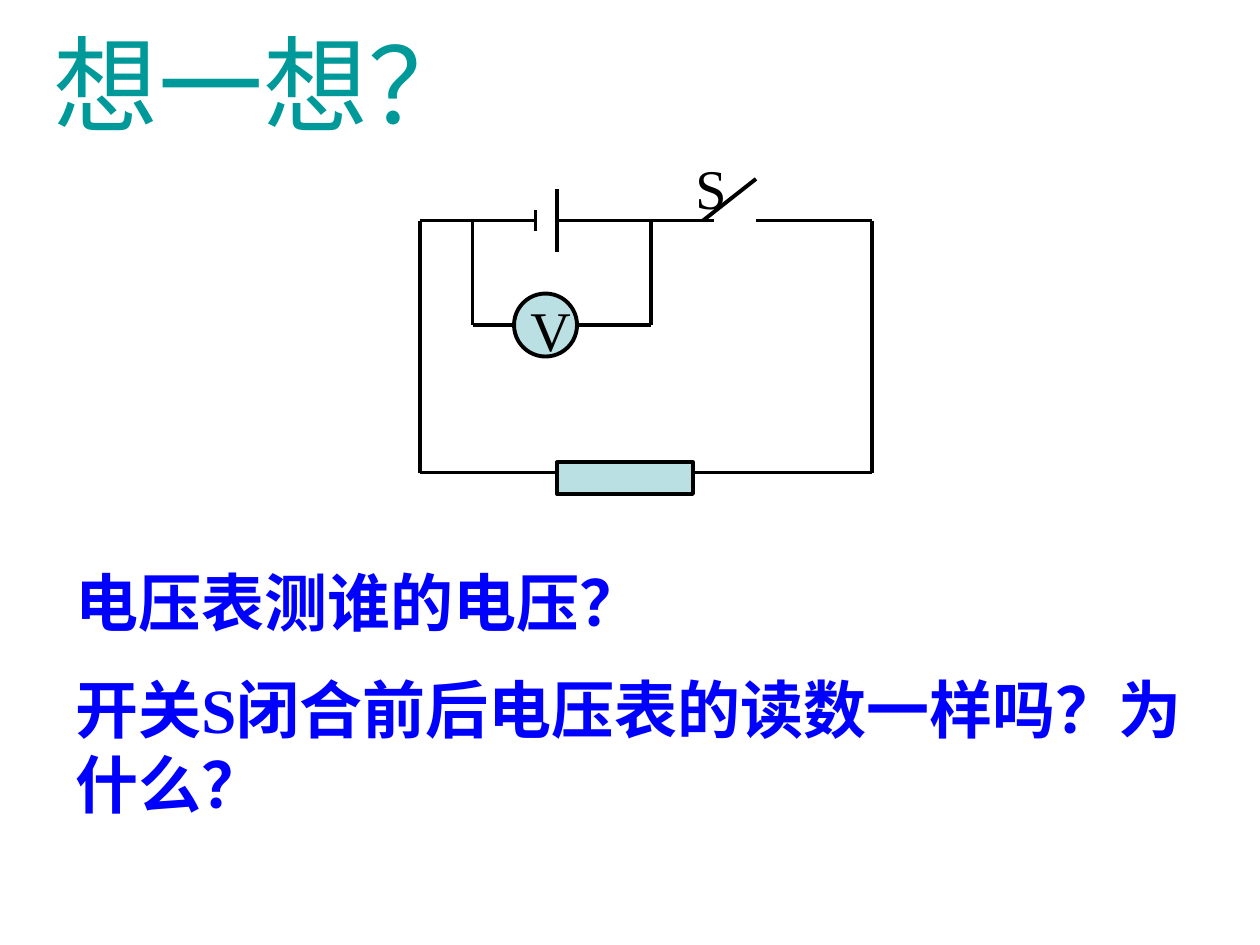
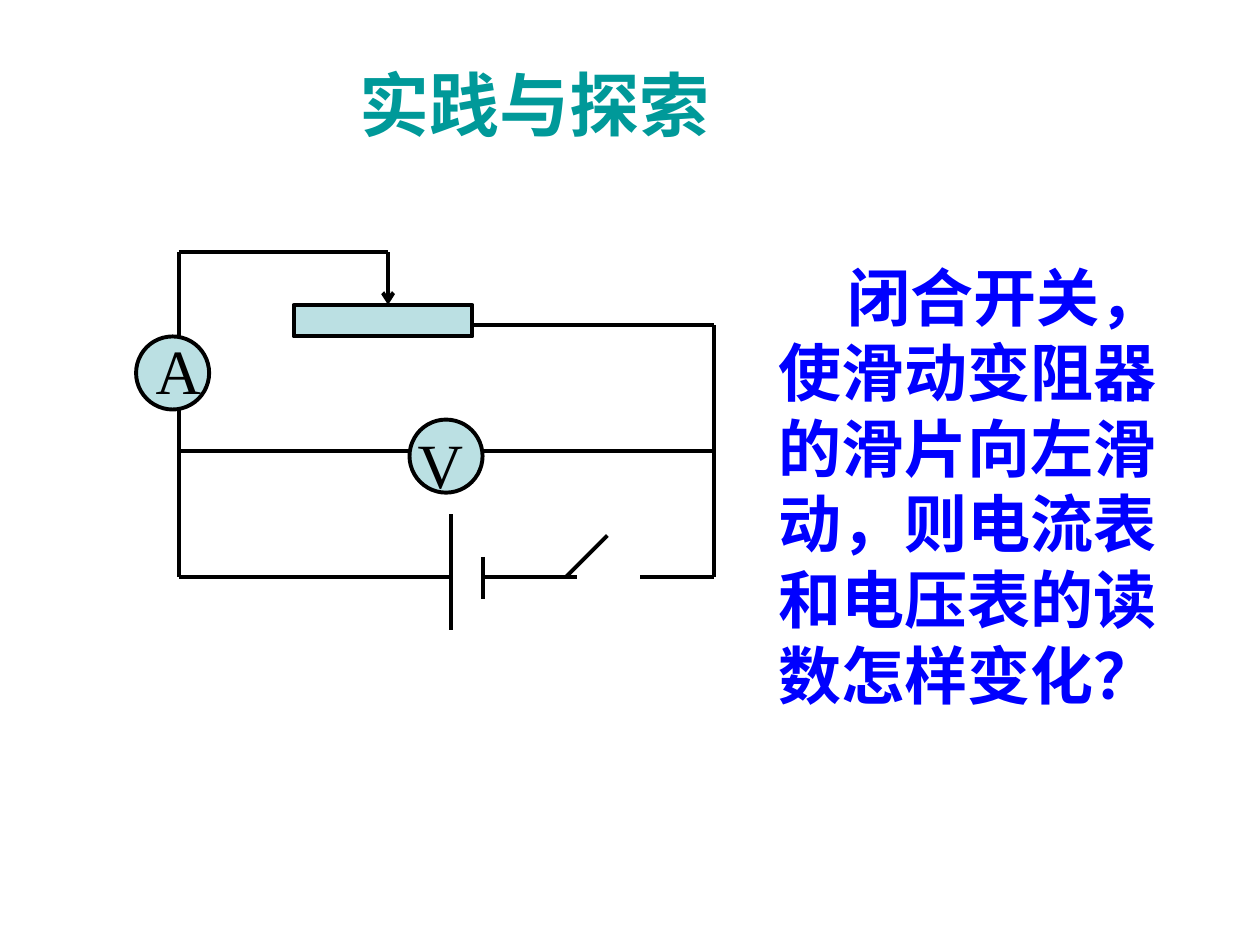
import pptx
import pptx.util
import pptx.dml.color
import pptx.enum.shapes
import pptx.enum.text
import pptx.oxml.ns
from lxml import etree

Inches, Pt = pptx.util.Inches, pptx.util.Pt
SHAPE = pptx.enum.shapes.MSO_SHAPE
ALIGN = pptx.enum.text.PP_ALIGN
ANCHOR = pptx.enum.text.MSO_ANCHOR

TEAL, BLUE, BLACK, PALE = "009999", "0000FF", "000000", "BBE0E3"
TITLE = {"name": "Arial", "size": Pt(40), "bold": True}
QUESTION = {"name": "Times New Roman", "size": Pt(36), "bold": True}
LABEL = {"name": "Times New Roman", "size": Pt(36), "bold": False}
LINE_WIDTH = Pt(2.25)


def colour(value):
    return pptx.dml.color.RGBColor.from_string(value)


def add_text(page, box, lines, font, ink, align=ALIGN.LEFT,
             anchor=ANCHOR.TOP, gap=0, indent=0):
    """Write one paragraph per line; gap is the space between paragraphs."""
    frame = page.shapes.add_textbox(*map(Inches, box)).text_frame
    frame.word_wrap = True
    frame.vertical_anchor = anchor
    for number, line in enumerate(lines):
        para = frame.add_paragraph() if number else frame.paragraphs[0]
        para.alignment = align
        if number:
            para.space_before = Pt(gap)
        if indent:
            para._p.get_or_add_pPr().set("indent", str(Inches(indent)))
        span = para.add_run()
        span.text = line
        for name, value in font.items():
            setattr(span.font, name, value)
        span.font.color.rgb = colour(ink)


def add_wire(page, origin, ends, arrow=False):
    left, top = origin
    x1, y1, x2, y2 = ends
    wire = page.shapes.add_connector(
        pptx.enum.shapes.MSO_CONNECTOR.STRAIGHT,
        Inches(left + x1), Inches(top + y1), Inches(left + x2), Inches(top + y2))
    wire.line.color.rgb = colour(BLACK)
    wire.line.width = LINE_WIDTH
    if arrow:
        tail = etree.SubElement(wire.line._get_or_add_ln(), pptx.oxml.ns.qn("a:tailEnd"))
        tail.set("type", "arrow")
    etree.SubElement(wire._element.spPr, pptx.oxml.ns.qn("a:effectLst"))


def add_part(page, origin, kind, box):
    """Add a meter or resistor, placed relative to the circuit's corner."""
    left, top, width, height = box
    part = page.shapes.add_shape(kind, *map(
        Inches, (origin[0] + left, origin[1] + top, width, height)))
    part.shadow.inherit = False
    part.fill.solid()
    part.fill.fore_color.rgb = colour(PALE)
    part.line.color.rgb = colour(BLACK)
    part.line.width = LINE_WIDTH


def add_label(page, origin, box, letter, size, align=ALIGN.CENTER):
    left, top, width, height = box
    add_text(page, (origin[0] + left, origin[1] + top, width, height),
             [letter], {**LABEL, "size": Pt(size)}, BLACK, align)


def voltmeter_circuit(page, origin):
    """Draw a cell with a voltmeter across it, a switch and a resistor."""
    right, bottom = 3.59, 2
    tap_left, tap_right, tap_bottom = 0.42, 1.84, 0.83
    cell_short, cell_long = 0.92, 1.09
    wires = [
        (0, 0, 0, bottom),
        (right, 0, right, bottom),
        (0, 0, cell_short, 0),
        (cell_short, -0.08, cell_short, 0.08),
        (cell_long, -0.25, cell_long, 0.25),
        (cell_long, 0, 2.34, 0),
        (2.25, 0, 2.67, -0.33),
        (2.67, 0, right, 0),
        (tap_left, 0, tap_left, tap_bottom),
        (tap_right, 0, tap_right, tap_bottom),
        (tap_left, tap_bottom, 0.75, tap_bottom),
        (1.25, tap_bottom, tap_right, tap_bottom),
        (0, bottom, 1.09, bottom),
        (2.17, bottom, right, bottom),
    ]
    for ends in wires:
        add_wire(page, origin, ends)
    add_part(page, origin, SHAPE.OVAL, (0.75, 0.58, 0.5, 0.5))
    add_part(page, origin, SHAPE.RECTANGLE, (1.09, 1.92, 1.08, 0.25))
    add_label(page, origin, (0.5, 0.55, 1.08, 0.64), "V", 32)
    add_label(page, origin, (2.09, -0.58, 0.67, 0.63), "S", 32, ALIGN.LEFT)


def rheostat_circuit(page, origin):
    """Draw an ammeter, a rheostat, a voltmeter, a cell and a switch."""
    right, bottom, middle = 4.25, 2.58, 1.58
    slider, rheostat_wire = 1.66, 0.58
    cell_long, cell_short = 2.16, 2.41
    wires = [
        (0, 0, 0, 0.67),
        (0, 0, slider, 0),
        (2.33, rheostat_wire, right, rheostat_wire),
        (right, rheostat_wire, right, bottom),
        (0, 1.25, 0, bottom),
        (0, middle, 1.83, middle),
        (2.41, middle, right, middle),
        (0, bottom, cell_long, bottom),
        (cell_long, 2.08, cell_long, 3),
        (cell_short, 2.42, cell_short, 2.75),
        (cell_short, bottom, 3.16, bottom),
        (3.07, bottom, 3.4, 2.25),
        (3.66, bottom, right, bottom),
    ]
    for ends in wires:
        add_wire(page, origin, ends)
    add_wire(page, origin, (slider, 0, slider, 0.42), arrow=True)
    add_part(page, origin, SHAPE.RECTANGLE, (0.91, 0.42, 1.42, 0.25))
    for left, top in ((-0.34, 0.67), (1.83, 1.33)):
        add_part(page, origin, SHAPE.OVAL, (left, top, 0.58, 0.58))
    add_label(page, origin, (-0.42, 0.58, 0.83, 0.7), "A", 36)
    add_label(page, origin, (1.66, 1.33, 0.83, 0.7), "V", 36)


def thinking_slide(page):
    add_text(page, (0.33, 0.25, 5.86, 0.81), ["想一想？"],
             {**TITLE, "size": Pt(60), "bold": False}, TEAL, anchor=ANCHOR.MIDDLE)
    voltmeter_circuit(page, (3.33, 1.75))
    add_text(page, (0.5, 4.42, 9.13, 2.2),
             ["电压表测谁的电压？", "开关S闭合前后电压表的读数一样吗？为什么？"],
             QUESTION, BLUE, gap=18)


def practice_slide(page):
    add_text(page, (1.16, 0.3, 6.17, 1.05), ["实践与探索"], TITLE, TEAL,
             ALIGN.CENTER, ANCHOR.MIDDLE)
    add_text(page, (6.08, 2, 3.4, 3.7),
             ["闭合开关，使滑动变阻器的滑片向左滑动，则电流表和电压表的读数怎样变化？"],
             QUESTION, BLUE, indent=0.55)
    rheostat_circuit(page, (1.42, 2))


def main():
    deck = pptx.Presentation()
    deck.slide_width, deck.slide_height = Inches(10), Inches(7.5)
    for build in (thinking_slide, practice_slide):
        build(deck.slides.add_slide(deck.slide_layouts[6]))
    deck.save("out.pptx")


if __name__ == "__main__":
    main()
